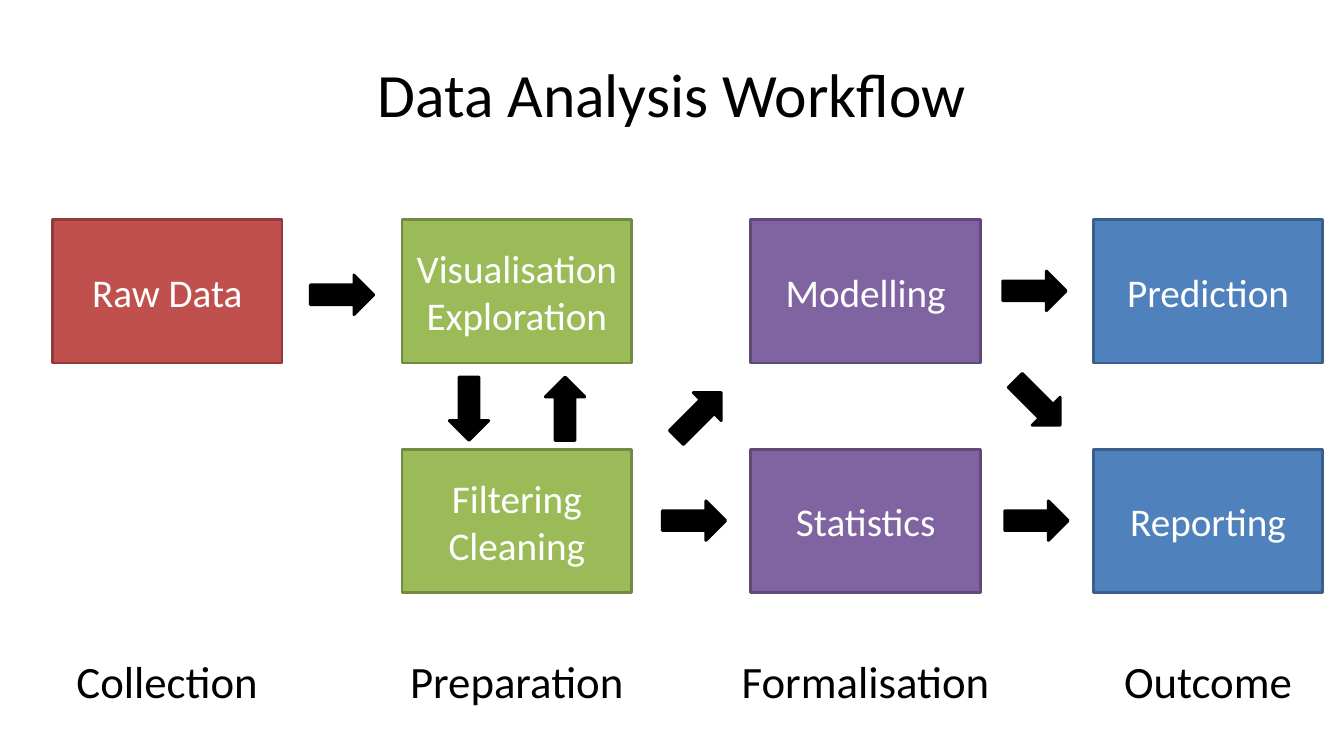
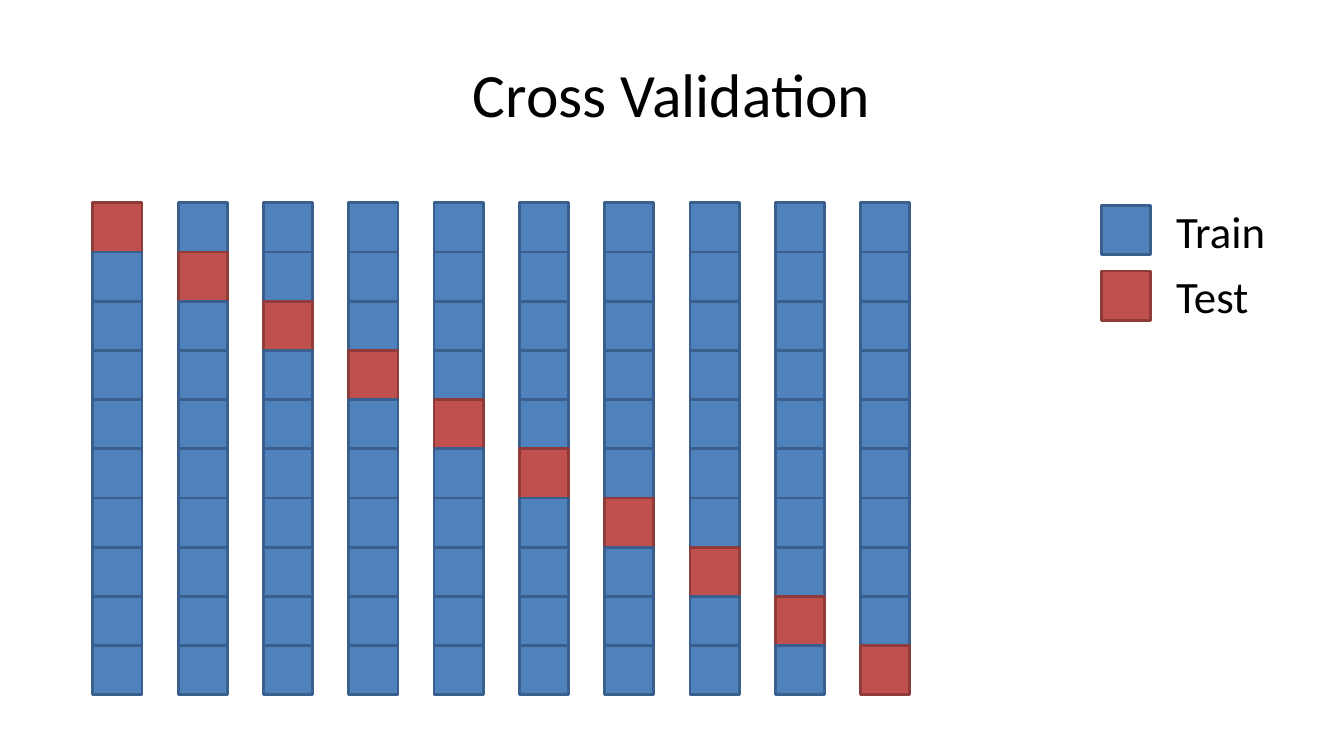
from dataclasses import dataclass

from pptx import Presentation
from pptx.dml.color import RGBColor
from pptx.enum.shapes import MSO_SHAPE
from pptx.enum.text import MSO_ANCHOR, PP_ALIGN
from pptx.util import Cm, Pt


@dataclass(frozen=True)
class Theme:
    """Colours as hex text (filled shapes: fill, outline) and type sizes in points."""
    font: str = "Calibri"
    text: str = "000000"
    box_text: str = "FFFFFF"
    red: tuple = ("C0504D", "8E3B39")
    green: tuple = ("9BBB59", "738A42")
    purple: tuple = ("8064A2", "5F4A78")
    blue: tuple = ("4F81BD", "3A5F8C")
    black: tuple = ("000000", "000000")
    outline: int = 2
    title_size: int = 44
    label_size: int = 32
    box_size: int = 28


THEME = Theme()


def write_text(shape, text, size, color, alignment=PP_ALIGN.CENTER):
    text_frame = shape.text_frame
    text_frame.text = text
    text_frame.word_wrap = True
    text_frame.vertical_anchor = MSO_ANCHOR.MIDDLE
    for paragraph in text_frame.paragraphs:
        paragraph.alignment = alignment
        for run in paragraph.runs:
            run.font.name = THEME.font
            run.font.size = Pt(size)
            run.font.color.rgb = RGBColor.from_string(color)


def add_filled_shape(slide, preset, left, top, width, height, colors):
    """Add a preset shape, placed in centimetres, with a (fill, outline) pair."""
    shape = slide.shapes.add_shape(preset, Cm(left), Cm(top), Cm(width), Cm(height))
    fill, outline = colors
    shape.shadow.inherit = False
    shape.fill.solid()
    shape.fill.fore_color.rgb = RGBColor.from_string(fill)
    shape.line.color.rgb = RGBColor.from_string(outline)
    shape.line.width = Pt(THEME.outline)
    return shape


presentation = Presentation()
presentation.slide_width = Cm(33.87)
presentation.slide_height = Cm(19.05)
title_only = presentation.slide_layouts[5]

slides = []
for heading in ("Data Analysis Workflow", "Cross Validation"):
    slide = presentation.slides.add_slide(title_only)
    title = slide.shapes.title
    title.left, title.top, title.width, title.height = Cm(1.69), Cm(0.76), Cm(30.48), Cm(3.17)
    write_text(title, heading, THEME.title_size, THEME.text)
    slides.append(slide)
workflow, validation = slides

# Workflow: one column per stage, its steps stacked from the top
BOX_WIDTH, BOX_HEIGHT = 5.79, 3.61
ROW_TOPS = (5.54, 11.33)
LABEL_TOP, LABEL_WIDTH, LABEL_HEIGHT = 16.33, 7, 1.63
stages = (
    ("Collection", 1.32, THEME.red, ("Raw Data",)),
    ("Preparation", 10.13, THEME.green, ("Visualisation\nExploration", "Filtering Cleaning")),
    ("Formalisation", 18.92, THEME.purple, ("Modelling", "Statistics")),
    ("Outcome", 27.55, THEME.blue, ("Prediction", "Reporting")),
)
for stage, left, colors, steps in stages:
    for step, top in zip(steps, ROW_TOPS):
        box = add_filled_shape(workflow, MSO_SHAPE.RECTANGLE, left, top,
                               BOX_WIDTH, BOX_HEIGHT, colors)
        write_text(box, step, THEME.box_size, THEME.box_text)
    label_left = left + (BOX_WIDTH - LABEL_WIDTH) / 2
    label = workflow.shapes.add_textbox(Cm(label_left), Cm(LABEL_TOP),
                                        Cm(LABEL_WIDTH), Cm(LABEL_HEIGHT))
    write_text(label, stage, THEME.label_size, THEME.text)

ARROW_LENGTH, ARROW_WIDTH = 1.6, 1
arrows = (  # left, top, rotation
    (7.82, 6.93, 0),
    (25.27, 6.83, 0),
    (16.69, 12.62, 0),
    (25.32, 12.62, 0),
    (11.02, 9.8, 90),
    (13.44, 9.8, 270),
    (16.81, 9.96, 315),
    (25.35, 9.65, 45),
)
for left, top, rotation in arrows:
    arrow = add_filled_shape(workflow, MSO_SHAPE.RIGHT_ARROW, left, top,
                             ARROW_LENGTH, ARROW_WIDTH, THEME.black)
    arrow.rotation = rotation

# Cross validation: each fold tests on one part, along the diagonal
FOLDS = 10
CELL = 1.24
GRID_LEFT, GRID_TOP, FOLD_PITCH = 2.34, 5.11, 2.15
for fold in range(FOLDS):
    for part in range(FOLDS):
        add_filled_shape(validation, MSO_SHAPE.RECTANGLE,
                         GRID_LEFT + fold * FOLD_PITCH, GRID_TOP + part * CELL,
                         CELL, CELL, THEME.red if part == fold else THEME.blue)

LEGEND_LEFT, LEGEND_TOP, LEGEND_PITCH = 27.76, 5.18, 1.65
LEGEND_TEXT_LEFT, LEGEND_TEXT_WIDTH = 29.39, 3
for row, (name, colors) in enumerate((("Train", THEME.blue), ("Test", THEME.red))):
    top = LEGEND_TOP + row * LEGEND_PITCH
    add_filled_shape(validation, MSO_SHAPE.RECTANGLE, LEGEND_LEFT, top, CELL, CELL, colors)
    caption = validation.shapes.add_textbox(
        Cm(LEGEND_TEXT_LEFT), Cm(top + (CELL - LABEL_HEIGHT) / 2),
        Cm(LEGEND_TEXT_WIDTH), Cm(LABEL_HEIGHT))
    write_text(caption, name, THEME.label_size, THEME.text, PP_ALIGN.LEFT)

presentation.save("out.pptx")
